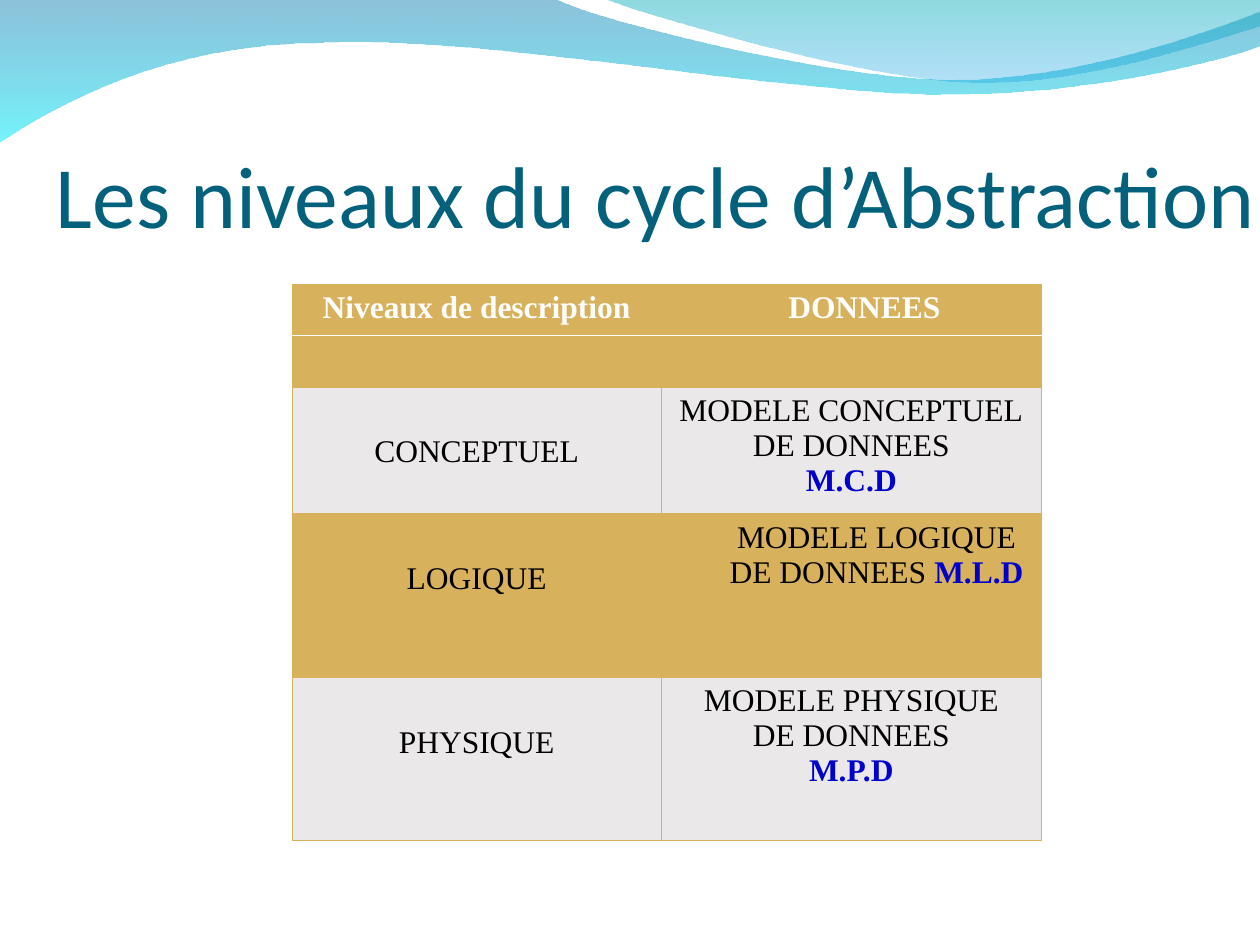
import dataclasses
import pptx
import pptx.util
import pptx.dml.color
import pptx.enum.text
import pptx.oxml
import pptx.oxml.ns
from lxml import etree

Pt = pptx.util.Pt
RGB = pptx.dml.color.RGBColor.from_string
Align = pptx.enum.text.PP_ALIGN
qn = pptx.oxml.ns.qn


@dataclasses.dataclass(frozen=True)
class Theme:
    title: str = "04617B"
    gold: str = "D7B15C"
    pale: str = "EAE8E8"
    white: str = "FFFFFF"
    ink: str = "000000"
    blue: str = "0000CC"
    sans: str = "Calibri"
    serif: str = "Times New Roman"
    big: float = 50
    body: float = 18
    thin: float = 0.45
    rule: float = 0.75


THEME = Theme()

BACK = [[(0.7, 0)], [(317.5, 0)],
        [(343.4, 13), (478.8, 46.1), (546.5, 46.1)],
        [(614.9, 46.1), (690.5, 19.4), (720.7, 7.2)],
        [(721.4, 26.6)],
        [(708.5, 32.4), (627.1, 55.4), (537.8, 54.7)],
        [(448.6, 54.7), (275.8, 20.9), (185.8, 25.2)],
        [(93.6, 25.9), (33.8, 60.5), (0, 82.1)]]
FRONT = [[(0, 0)],
         [(21.6, 8.6), (146.2, 45.4), (208.8, 47.5)],
         [(271.4, 50.4), (347, 23.8), (375.1, 15.8)],
         [(375.1, 0.7)]]

LEVELS = [("CONCEPTUEL", ["MODELE CONCEPTUEL", "DE DONNEES"], "M.C.D"),
          ("LOGIQUE", ["MODELE LOGIQUE DE DONNEES "], "M.L.D"),
          ("PHYSIQUE", ["MODELE PHYSIQUE", "DE DONNEES"], "M.P.D")]


def write(par, text, font=THEME.serif, size=THEME.body, color=THEME.ink,
          bold=False, align=Align.CENTER):
    par.alignment = align
    run = par.add_run()
    run.text = text
    run.font.name = font
    run.font.size = Pt(size)
    run.font.bold = bold
    run.font.color.rgb = RGB(color)


def bend(shape, parts):
    lines = list(shape.element.iter(qn("a:lnTo")))
    for line, part in zip(lines, parts[1:]):
        if len(part) == 3:
            curve = etree.Element(qn("a:cubicBezTo"))
            for x, y in part:
                etree.SubElement(curve, qn("a:pt"), x=str(Pt(x)), y=str(Pt(y)))
            line.getparent().replace(line, curve)


def wave(slide, left, top, parts, stops):
    spots = [(Pt(left + part[-1][0]), Pt(top + part[-1][1])) for part in parts]
    form = slide.shapes.build_freeform(*spots[0])
    form.add_line_segments(spots[1:], close=True)
    shape = form.convert_to_shape()
    bend(shape, parts)
    shape.shadow.inherit = False
    shape.line.fill.background()
    shape.fill.gradient()
    shape.fill.gradient_angle = 270
    for stop, (color, alpha) in zip(shape.fill.gradient_stops, stops):
        stop.color.rgb = RGB(color)
    for tint, (color, alpha) in zip(shape.element.iter(qn("a:srgbClr")), stops):
        etree.SubElement(tint, qn("a:alpha")).set("val", str(alpha * 1000))


def head(slide, left, top, width, height):
    title = slide.shapes.title
    title.left, title.top = Pt(left), Pt(top)
    title.width, title.height = Pt(width), Pt(height)
    frame = title.text_frame
    frame.margin_left = frame.margin_top = Pt(0.9)
    frame.margin_right = frame.margin_bottom = 0
    frame.word_wrap = True
    frame.auto_size = pptx.enum.text.MSO_AUTO_SIZE.NONE
    frame.vertical_anchor = pptx.enum.text.MSO_ANCHOR.BOTTOM
    write(frame.paragraphs[0], "Les niveaux du cycle d’Abstraction",
          font=THEME.sans, size=THEME.big, color=THEME.title, align=Align.LEFT)


def edge(cell, side, color, width):
    props = cell._tc.get_or_add_tcPr()
    line = etree.Element(qn("a:ln" + side), w=str(Pt(width)))
    fill = etree.SubElement(line, qn("a:solidFill"))
    etree.SubElement(fill, qn("a:srgbClr")).set("val", color)
    props.insert("LRTB".index(side), line)


def paint(cell, row):
    cell.fill.solid()
    cell.fill.fore_color.rgb = RGB(THEME.pale if row in (2, 4) else THEME.gold)
    for side in "LRTB":
        if (row, side) in ((0, "B"), (1, "T")):
            edge(cell, side, THEME.white, THEME.rule)
        else:
            edge(cell, side, THEME.gold, THEME.thin)


def grid(slide, left, top, widths, heights):
    table = slide.shapes.add_table(
        len(heights), len(widths), Pt(left), Pt(top),
        Pt(sum(widths)), Pt(sum(heights))).table
    table.first_row = table.horz_banding = False
    for col, width in zip(table.columns, widths):
        col.width = Pt(width)
    for row, height in enumerate(heights):
        table.rows[row].height = Pt(height)
        for cell in table.rows[row].cells:
            paint(cell, row)

    name, data = table.rows[0].cells
    data.margin_left = Pt(72.7)
    write(name.text_frame.paragraphs[0], "Niveaux de description",
          color=THEME.white, bold=True)
    write(data.text_frame.paragraphs[0], "DONNEES",
          color=THEME.white, bold=True, align=Align.LEFT)

    for row, (level, lines, code) in enumerate(LEVELS, 2):
        name, data = table.rows[row].cells
        name.margin_top = Pt(27.2)
        write(name.text_frame.paragraphs[0], level)
        frame = data.text_frame
        par = frame.paragraphs[0]
        write(par, lines[0])
        for line in lines[1:]:
            write(frame.add_paragraph(), line)
        if len(lines) > 1:
            par = frame.add_paragraph()
        else:
            data.margin_left = Pt(36)
        write(par, code, color=THEME.blue, bold=True)


def main():
    deck = pptx.Presentation()
    deck.slide_width, deck.slide_height = Pt(720), Pt(540)
    slide = deck.slides.add_slide(deck.slide_layouts[5])
    wave(slide, -0.7, -0.7, BACK, [("0079AF", 45), ("00EBF8", 55)])
    wave(slide, 344.9, -0.7, FRONT, [("00ADB6", 45), ("009BE5", 30)])
    head(slide, 31, 78.8, 754.6, 61.9)
    grid(slide, 167, 162.4, [210.8, 217.4], [29.4, 29.4, 72.4, 93.6, 92.9])
    deck.save("out.pptx")


if __name__ == "__main__":
    main()
